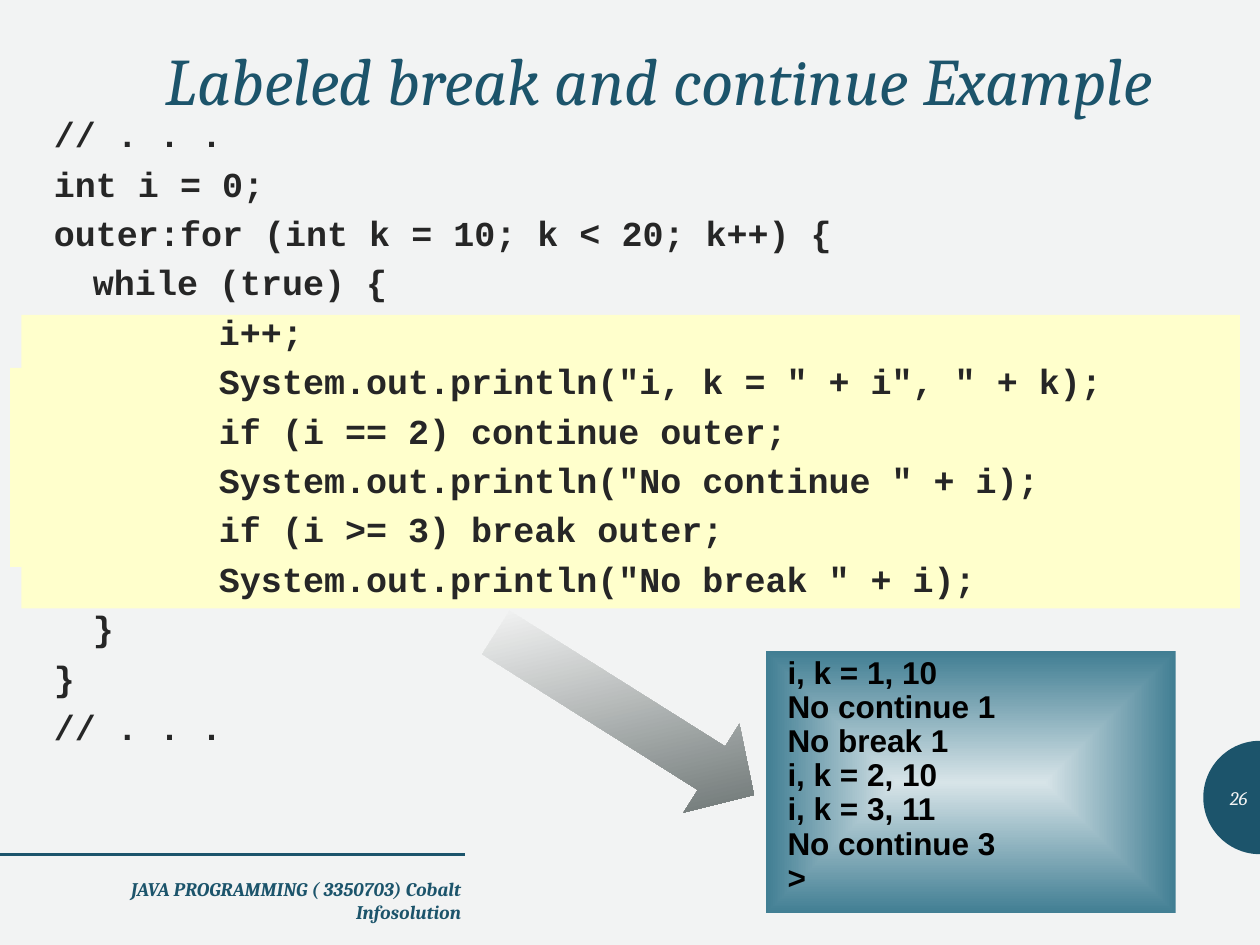
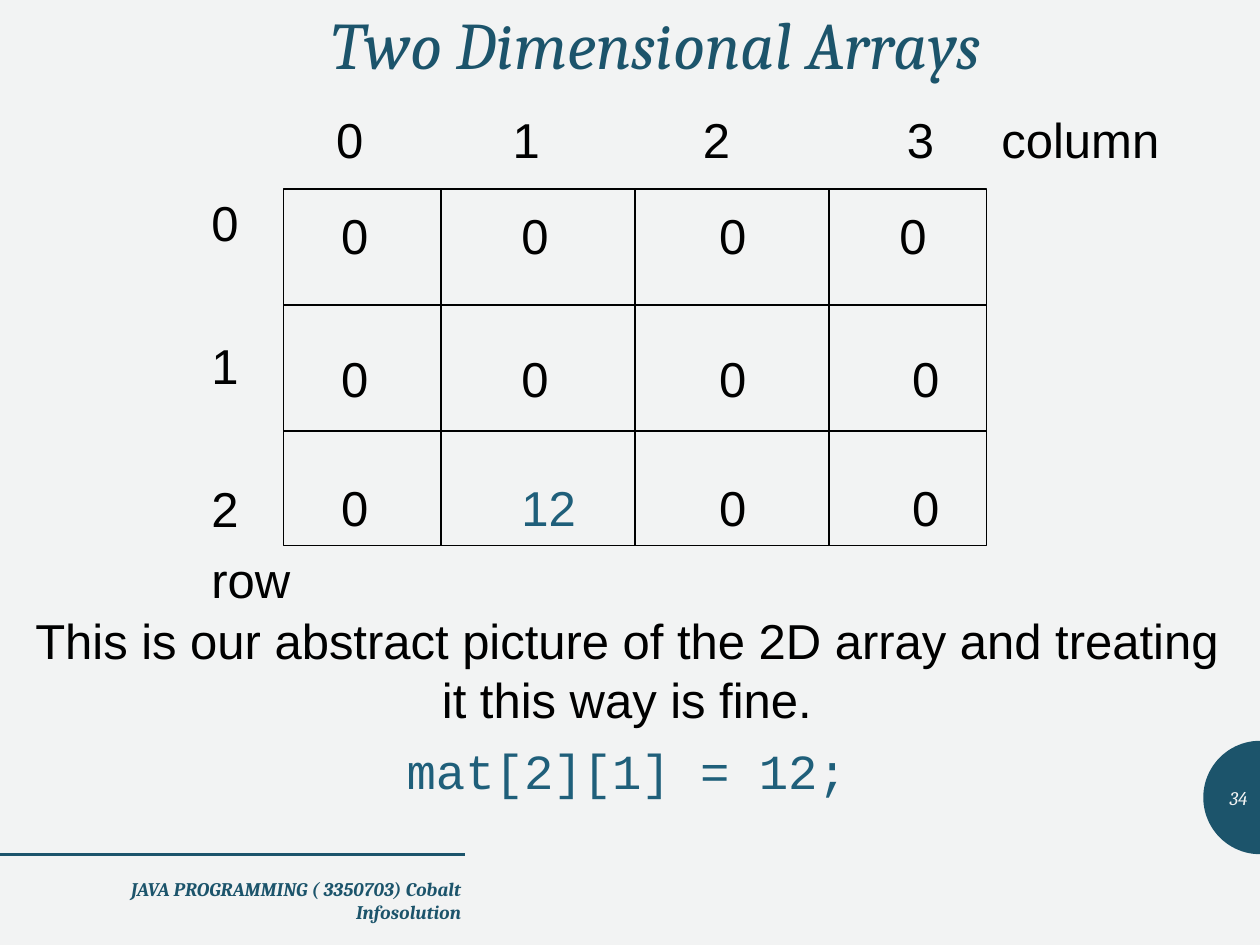
from math import cos, pi, sin

from lxml import etree
from pptx import Presentation
from pptx.dml.color import RGBColor
from pptx.enum.shapes import MSO_CONNECTOR, MSO_SHAPE
from pptx.enum.text import MSO_ANCHOR, PP_ALIGN
from pptx.oxml import parse_xml
from pptx.oxml.ns import nsdecls, qn
from pptx.util import Inches, Pt

# Shared look
PAPER, TEAL, INK, BLACK = "F2F3F3", "1C546B", "262626", "000000"
ACCENT, HIGHLIGHT = "1F5F7A", "FFFFCC"
HEAD_FONT, BODY_FONT, CODE_FONT = "Cambria", "Arial", "Courier New"
FOOTER = "JAVA PROGRAMMING ( 3350703) Cobalt Infosolution"

CODE = [  # (nesting depth, line)
    (0, "// . . ."),
    (0, "int i = 0;"),
    (0, "outer:for (int k = 10; k < 20; k++) {"),
    (1, "while (true) {"),
    (2, "i++;"),
    (2, 'System.out.println("i, k = " + i", " + k);'),
    (2, "if (i == 2) continue outer;"),
    (2, 'System.out.println("No continue " + i);'),
    (2, "if (i >= 3) break outer;"),
    (2, 'System.out.println("No break " + i);'),
    (1, "}"),
    (0, "}"),
    (0, "// . . ."),
]
CODE_INDENTS = [0, 0.31, 1.31]
OUTPUT = ["i, k = 1, 10", "No continue 1", "No break 1", "i, k = 2, 10",
          "i, k = 3, 11", "No continue 3", ">"]
MATRIX = [[0, 0, 0, 0], [0, 0, 0, 0], [0, 12, 0, 0]]


def rgb(color):
    return RGBColor.from_string(color)


def inches(*values):
    return [Inches(v) for v in values]


def style_runs(p, size, font, color, bold=False, italic=False):
    for r in p.runs:
        r.font.size, r.font.name = Pt(size), font
        r.font.bold, r.font.italic = bold, italic
        r.font.color.rgb = rgb(color)


def fill_text(sp, lines, size, font, color, align=PP_ALIGN.LEFT, spacing=1.0,
              before=0, wrap=True, anchor=MSO_ANCHOR.TOP, **style):
    tf = sp.text_frame
    tf.word_wrap, tf.vertical_anchor = wrap, anchor
    tf.text = "\n".join(lines)
    for i, p in enumerate(tf.paragraphs):
        p.alignment, p.line_spacing = align, spacing
        if i and before:
            p.space_before = Pt(before)
        style_runs(p, size, font, color, **style)
    return tf


def add_text(slide, box, lines, size, font, color, **options):
    sp = slide.shapes.add_textbox(*inches(*box))
    return fill_text(sp, lines, size, font, color, **options)


def set_tabs(p, stops):
    tabs = "".join(f'<a:tab pos="{Inches(pos)}" algn="l"/>' for pos in stops)
    p._p.get_or_add_pPr().append(
        parse_xml(f'<a:tabLst {nsdecls("a")}>{tabs}</a:tabLst>'))


def add_line(slide, ends, color, width):
    line = slide.shapes.add_connector(MSO_CONNECTOR.STRAIGHT, *inches(*ends))
    line.line.color.rgb, line.line.width = rgb(color), Pt(width)
    etree.SubElement(line._element.spPr, qn("a:effectLst"))


def add_plain(slide, preset, box, color=None):
    sp = slide.shapes.add_shape(preset, *inches(*box))
    sp.shadow.inherit = False
    sp.line.fill.background()
    if color:
        sp.fill.solid()
        sp.fill.fore_color.rgb = rgb(color)
    return sp


def set_gradient(sp, start, end, direction):
    grad = parse_xml(
        f'<a:gradFill {nsdecls("a")} rotWithShape="1"><a:gsLst>'
        f'<a:gs pos="0"><a:srgbClr val="{start}"/></a:gs>'
        f'<a:gs pos="100000"><a:srgbClr val="{end}"/></a:gs>'
        f'</a:gsLst>{direction}</a:gradFill>')
    sp._element.spPr.find(qn("a:prstGeom")).addnext(grad)


def add_title(slide, box, text, align):
    add_text(slide, box, [text], 38, HEAD_FONT, TEAL, align=align,
             spacing=0.9, italic=True)


def add_frame(prs, number):
    """New slide with background, page badge and footer."""
    slide = prs.slides.add_slide(prs.slide_layouts[6])
    slide.background.fill.solid()
    slide.background.fill.fore_color.rgb = rgb(PAPER)

    # Half-round page badge on the right edge
    cx, cy, radius, steps = 10, 6.33, 0.45, 48
    arc = [inches(cx - radius * sin(pi * i / steps), cy - radius * cos(pi * i / steps))
           for i in range(steps + 1)]
    builder = slide.shapes.build_freeform(*arc[0])
    builder.add_line_segments(arc[1:], close=True)
    badge = builder.convert_to_shape()
    badge.shadow.inherit = False
    badge.fill.solid()
    badge.fill.fore_color.rgb = rgb(TEAL)
    badge.line.fill.background()
    add_text(slide, (9.55, 6.13, 0.45, 0.4), [str(number)], 11, HEAD_FONT, PAPER,
             align=PP_ALIGN.RIGHT, anchor=MSO_ANCHOR.MIDDLE, italic=True)

    # Footer rule and text
    add_line(slide, (0, 6.78, 3.69, 6.78), TEAL, 2)
    add_text(slide, (0.63, 6.91, 3.13, 0.4), [FOOTER], 11, HEAD_FONT, TEAL,
             align=PP_ALIGN.RIGHT, bold=True, italic=True)
    return slide


def add_code(slide, box):
    tf = add_text(slide, box, [line for _, line in CODE], 20, CODE_FONT, INK,
                  spacing=0.8, before=9, bold=True)
    for p, (depth, _) in zip(tf.paragraphs, CODE):
        p._p.get_or_add_pPr().set("marL", str(Inches(CODE_INDENTS[depth])))


def add_output(slide, box):
    panel = add_plain(slide, MSO_SHAPE.RECTANGLE, box)
    set_gradient(panel, "D7E4E8", "417E93",
                 '<a:path path="rect"><a:fillToRect l="50000" t="50000" '
                 'r="50000" b="50000"/></a:path>')
    tf = fill_text(panel, OUTPUT, 18, BODY_FONT, BLACK, spacing=0.9,
                   wrap=False, bold=True)
    tf.margin_left = Inches(0.17)


def build_labeled_break(prs):
    slide = add_frame(prs, 26)
    add_output(slide, (6.08, 5.17, 3.25, 2.08))

    # Highlight behind the inner loop body
    for box in [(0.17, 2.5, 9.67, 2.33), (0.08, 2.92, 9.67, 1.58)]:
        add_plain(slide, MSO_SHAPE.RECTANGLE, box, HIGHLIGHT)

    add_title(slide, (0.75, 0.33, 8.5, 0.58), "Labeled break and continue Example",
              PP_ALIGN.RIGHT)
    add_code(slide, (0.33, 0.91, 9.67, 5.25))

    # Arrow from code to output
    arrow = add_plain(slide, MSO_SHAPE.RIGHT_ARROW, (3.75, 5.25, 2.42, 0.83))
    arrow.adjustments[0], arrow.adjustments[1] = 0.49, 0.48
    arrow.rotation = 32.2
    set_gradient(arrow, "FFFFFF", "606968", '<a:lin ang="2700000" scaled="0"/>')


def add_matrix(slide, box):
    left, top, width, height = box

    # Outer frame and inner grid lines
    frame = add_plain(slide, MSO_SHAPE.RECTANGLE, box)
    frame.fill.background()
    frame.line.color.rgb, frame.line.width = rgb(BLACK), Pt(0.75)
    for dy in (0.92, 1.92):
        add_line(slide, (left, top + dy, left + width, top + dy), BLACK, 0.75)
    for dx in (1.25, 2.79, 4.33):
        add_line(slide, (left + dx, top, left + dx, top + height), BLACK, 0.75)

    # Values on tab stops; the top row ends slightly further left
    tf = add_text(slide, (left + 0.36, top + 0.08, 4.95, 2.73), [""] * len(MATRIX),
                  28, BODY_FONT, BLACK, wrap=False)
    for p, values, last, before in zip(tf.paragraphs, MATRIX, (4.43, 4.53, 4.53),
                                       (0, 48.1, 40.1)):
        set_tabs(p, (1.43, 3, last))
        if before:
            p.space_before = Pt(before)
        for j, value in enumerate(values):
            r = p.add_run()
            r.text = f"\t{value}" if j else str(value)
            r.font.size, r.font.name = Pt(28), BODY_FONT
            r.font.color.rgb = rgb(ACCENT if value else BLACK)


def add_axis_labels(slide):
    # Column numbers
    tf = add_text(slide, (2.57, 0.82, 6.74, 0.57), ["0\t1\t2\t3\tcolumn"],
                  28, BODY_FONT, BLACK, wrap=False)
    set_tabs(tf.paragraphs[0], (1.4, 2.91, 4.53, 5.28))

    # Row numbers
    tf = add_text(slide, (1.58, 1.48, 0.9, 3.35), ["0", "1", "2", "row"],
                  28, BODY_FONT, BLACK, before=48.1, wrap=False)
    tf.paragraphs[-1].space_before = Pt(7)


def build_2d_arrays(prs):
    slide = add_frame(prs, 34)
    add_title(slide, (0.87, 0.05, 8.68, 0.7), "Two Dimensional Arrays", PP_ALIGN.CENTER)
    add_matrix(slide, (2.25, 1.5, 5.58, 2.83))
    add_axis_labels(slide)

    # Caption and assignment
    tf = add_text(slide, (0.18, 4.8, 9.59, 1.6),
                  ["This is our abstract picture of the 2D array and treating\v"
                   "it this way is fine.", "mat[2][1] = 12;"],
                  28, BODY_FONT, BLACK, align=PP_ALIGN.CENTER, before=7, wrap=False)
    style_runs(tf.paragraphs[-1], 28, CODE_FONT, ACCENT)


def main():
    prs = Presentation()
    prs.slide_width, prs.slide_height = inches(10, 7.5)
    build_labeled_break(prs)
    build_2d_arrays(prs)
    prs.save("out.pptx")


if __name__ == "__main__":
    main()
